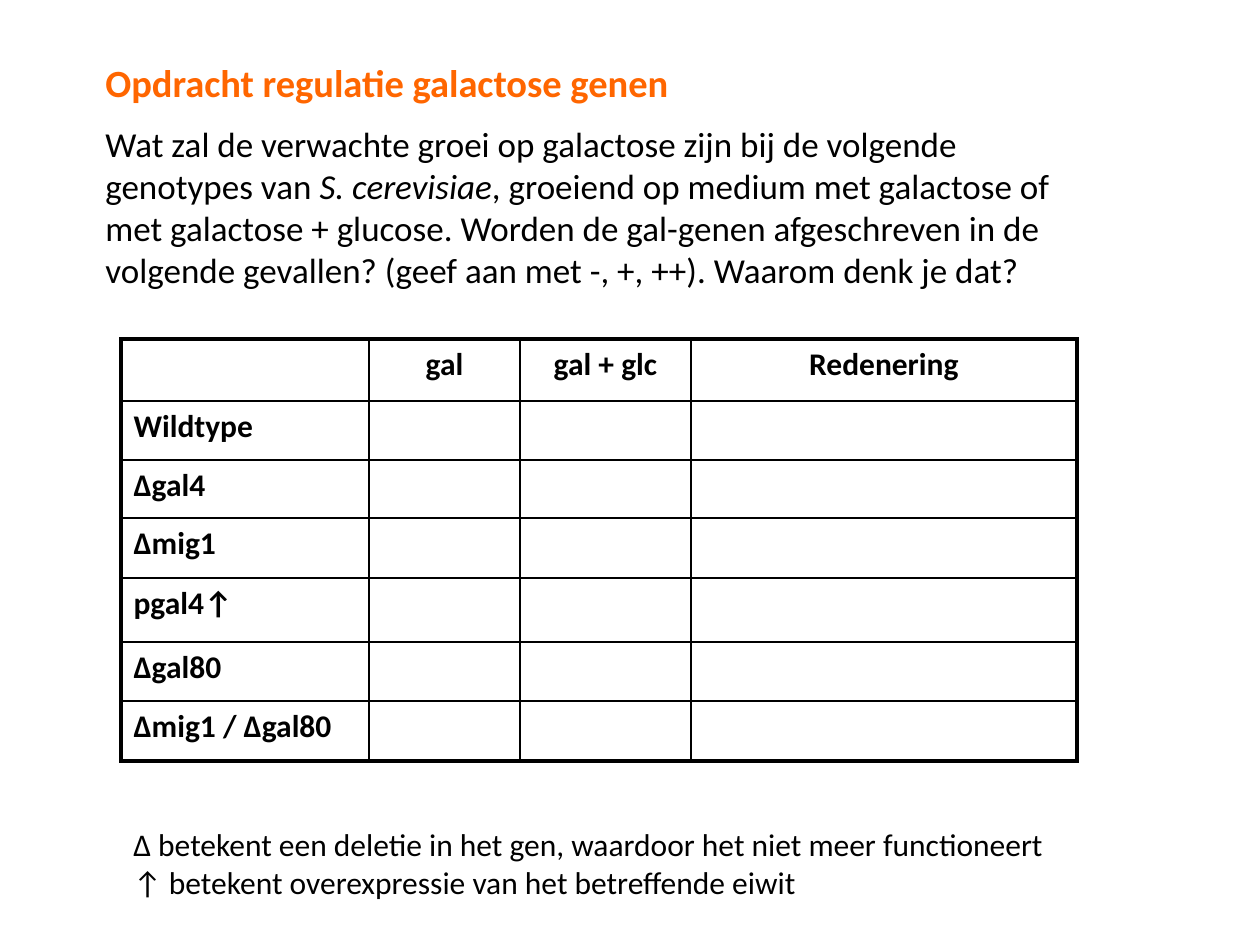
from lxml import etree
from pptx import Presentation
from pptx import util as u
from pptx.dml.color import RGBColor
from pptx.enum import text
from pptx.oxml.ns import qn

PX_PER_INCH = 126
FONT = "Calibri"
COLORS = {"title": "FF6600", "text": "000000"}
COLUMN_WIDTHS = [248, 151, 171, 386]
ROW_HEIGHTS = [62, 59, 58, 60, 64, 59, 60]
HEADINGS = ["", "gal", "gal + glc", "Redenering"]
GENOTYPES = ["Wildtype", "Δgal4", "Δmig1", "pgal4↑", "Δgal80", "Δmig1 / Δgal80"]
THIN, THICK = 1, 2.25


def px(length):
    return u.Emu(round(length * 914400 / PX_PER_INCH))


def style_paragraph(paragraph, size, color="text", bold=False):
    font = paragraph.font
    font.name = FONT
    font.size = u.Pt(size)
    font.bold = bold
    font.color.rgb = RGBColor.from_string(COLORS[color])


def add_text_box(slide, left, top, width, height):
    frame = slide.shapes.add_textbox(px(left), px(top), px(width), px(height)).text_frame
    frame.word_wrap = True
    frame.auto_size = text.MSO_AUTO_SIZE.SHAPE_TO_FIT_TEXT
    return frame


def add_assignment(slide):
    frame = add_text_box(slide, 93, 53, 1032, 251)
    title = frame.paragraphs[0]
    title.text = "Opdracht regulatie galactose genen"
    style_paragraph(title, 22, "title", bold=True)
    question = frame.add_paragraph()
    question.space_before = u.Pt(10)
    style_paragraph(question, 20)
    for words, italic in [
        ("Wat zal de verwachte groei op galactose zijn bij de volgende genotypes van ", False),
        ("S. cerevisiae", True),
        (", groeiend op medium met galactose of met galactose + glucose. "
         "Worden de gal-genen afgeschreven in de volgende gevallen? "
         "(geef aan met -, +, ++). Waarom denk je dat?", False),
    ]:
        run = question.add_run()
        run.text = words
        run.font.italic = italic


def set_borders(cell, widths):
    properties = cell._tc.get_or_add_tcPr()
    for index, (side, width) in enumerate(widths.items()):
        line = etree.Element(qn(f"a:ln{side}"), w=str(u.Pt(width)))
        fill = etree.SubElement(line, qn("a:solidFill"))
        etree.SubElement(fill, qn("a:srgbClr"), val=COLORS["text"])
        properties.insert(index, line)


def add_growth_table(slide):
    rows = [HEADINGS] + [[genotype, "", "", ""] for genotype in GENOTYPES]
    last_row, last_column = len(rows) - 1, len(HEADINGS) - 1
    table = slide.shapes.add_table(
        len(rows), len(HEADINGS), px(121), px(339),
        px(sum(COLUMN_WIDTHS)), px(sum(ROW_HEIGHTS))).table
    table.horz_banding = False
    for column, width in zip(table.columns, COLUMN_WIDTHS):
        column.width = px(width)
    for row, height in zip(table.rows, ROW_HEIGHTS):
        row.height = px(height)
    for r, labels in enumerate(rows):
        for c, label in enumerate(labels):
            cell = table.cell(r, c)
            cell.text = label
            cell.fill.background()
            paragraph = cell.text_frame.paragraphs[0]
            style_paragraph(paragraph, 18, bold=True)
            if r == 0:
                paragraph.alignment = text.PP_ALIGN.CENTER
            set_borders(cell, {
                "L": THICK if c == 0 else THIN,
                "R": THICK if c == last_column else THIN,
                "T": THICK if r == 0 else THIN,
                "B": THICK if r == last_row else THIN,
            })


def add_legend(slide):
    frame = add_text_box(slide, 121, 819, 1034, 89)
    frame.text = ("Δ betekent een deletie in het gen, waardoor het niet meer functioneert\n"
                  "↑ betekent overexpressie van het betreffende eiwit")
    for paragraph in frame.paragraphs:
        style_paragraph(paragraph, 18)


def main():
    presentation = Presentation()
    presentation.slide_width = px(1260)
    presentation.slide_height = px(945)
    slide = presentation.slides.add_slide(presentation.slide_layouts[6])
    add_assignment(slide)
    add_growth_table(slide)
    add_legend(slide)
    presentation.save("out.pptx")


if __name__ == "__main__":
    main()
